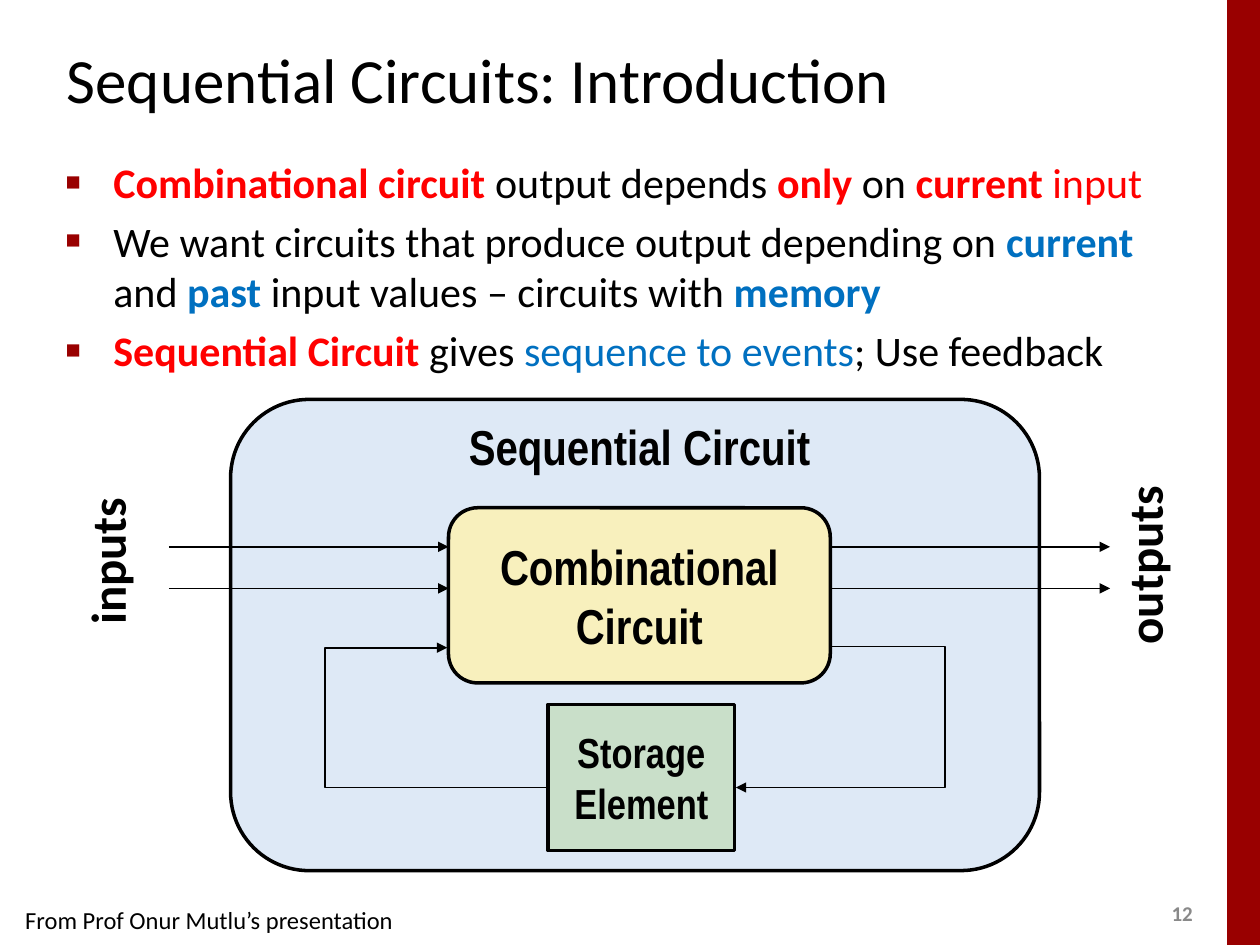
"""Build the slide that introduces sequential circuits."""
from lxml import etree
from pptx import Presentation
from pptx.dml.color import RGBColor
from pptx.enum import shapes as es, text as et
from pptx.oxml.ns import qn
from pptx.util import Inches, Pt

BLACK, RED, BLUE = "000000", "FF0000", "0070C0"
KIND = es.MSO_SHAPE
MID = et.MSO_ANCHOR.MIDDLE
LEFT, CENTER = et.PP_ALIGN.LEFT, et.PP_ALIGN.CENTER


def style(font, name, size, bold=False, color=BLACK):
    """Set the face, size, weight and colour of a font."""
    font.name, font.size, font.bold = name, Pt(size), bold
    font.color.rgb = RGBColor.from_string(color)


def paint(shape, fill=None, width=None, arrow=False):
    """Set fill, black line and arrowhead, and drop the shadow."""
    if fill:
        shape.fill.solid()
        shape.fill.fore_color.rgb = RGBColor.from_string(fill)
    if width:
        shape.line.color.rgb = RGBColor.from_string(BLACK)
        shape.line.width = Pt(width)
    else:
        shape.line.fill.background()
    if arrow:
        etree.SubElement(shape.line._get_or_add_ln(), qn("a:tailEnd"), type="triangle")
    etree.SubElement(shape._element.spPr, qn("a:effectLst"))


prs = Presentation()
prs.slide_width, prs.slide_height = Inches(10), Inches(7.5)
slide = prs.slides.add_slide(prs.slide_layouts[1])
items = slide.shapes

bar = items.add_shape(KIND.RECTANGLE, Inches(9.74), 0, Inches(0.26), Inches(7.5))
paint(bar, "990000")

title, body = items.title, slide.placeholders[1]
for hold, box in ((title, (0.43, 0.21, 8.3, 0.83)), (body, (0.42, 1.19, 8.93, 5.67))):
    hold.left, hold.top, hold.width, hold.height = map(Inches, box)
title.text_frame.text = "Sequential Circuits: Introduction"
title.text_frame.vertical_anchor = MID
head = title.text_frame.paragraphs[0]
head.alignment = LEFT
props = head._p.get_or_add_pPr()
props.set("marL", str(Inches(0.13)))
props.set("indent", str(-Inches(0.13)))
style(head.font, "Calibri", 36)

points = [
    [("Combinational circuit ", RED, True), ("output depends ", BLACK, False),
     ("only", RED, True), (" on ", BLACK, False), ("current", RED, True),
     (" input", RED, False)],
    [("We want circuits that produce output depending on ", BLACK, False),
     ("current ", BLUE, True), ("and ", BLACK, False), ("past ", BLUE, True),
     ("input values – circuits with ", BLACK, False), ("memory", BLUE, True)],
    [("Sequential Circuit ", RED, True), ("gives ", BLACK, False),
     ("sequence to events", BLUE, False), ("; Use feedback", BLACK, False)],
]
frame = body.text_frame
for i, point in enumerate(points):
    para = frame.add_paragraph() if i else frame.paragraphs[0]
    props = para._p.get_or_add_pPr()
    props.set("marL", str(Inches(0.38)))
    props.set("indent", str(-Inches(0.38)))
    tint = etree.SubElement(props, qn("a:buClr"))
    etree.SubElement(tint, qn("a:srgbClr"), val="990000")
    etree.SubElement(props, qn("a:buSzPct"), val="60000")
    etree.SubElement(props, qn("a:buFont"), typeface="Arial")
    etree.SubElement(props, qn("a:buChar"), char="■")
    for words, color, bold in point:
        run = para.add_run()
        run.text = words
        style(run.font, "Calibri", 24, bold, color)

blocks = [
    (KIND.ROUNDED_RECTANGLE, (1.83, 3.17, 6.42, 3.74), "DEE9F6", "", 28),
    (KIND.ROUNDED_RECTANGLE, (3.56, 4.03, 3.03, 1.39), "F8F0BD", "Combinational\nCircuit", 28),
    (KIND.RECTANGLE, (4.35, 5.59, 1.48, 1.16), "C9DFC9", "Storage\nElement", 24),
]
for kind, box, fill, words, size in blocks:
    block = items.add_shape(kind, *map(Inches, box))
    paint(block, fill, 2)
    if words:
        frame = block.text_frame
        frame.text, frame.word_wrap, frame.vertical_anchor = words, False, MID
        for para in frame.paragraphs:
            para.alignment = CENTER
            style(para.font, "Arial Narrow", size, True)

for x in (1.34, 6.59):
    for y in (4.34, 4.67):
        wire = items.add_connector(es.MSO_CONNECTOR.STRAIGHT, Inches(x), Inches(y),
                                   Inches(x + 2.22), Inches(y))
        paint(wire, width=1, arrow=True)

loops = [
    [(6.59, 5.13), (7.5, 5.13), (7.5, 6.25), (5.84, 6.25)],
    [(4.35, 6.25), (2.58, 6.25), (2.58, 5.14), (3.55, 5.14)],
]
for loop in loops:
    (x, y), *rest = [(Inches(a), Inches(b)) for a, b in loop]
    pen = items.build_freeform(x, y)
    pen.add_line_segments(rest, close=False)
    wire = pen.convert_to_shape()
    wire.fill.background()
    paint(wire, width=1, arrow=True)

labels = [
    ("Sequential Circuit", (2.64, 3.26, 4.87, 0.66), 0, "Arial Narrow", 28, True, BLACK, CENTER),
    ("inputs", (0.22, 4.17, 1.25, 0.57), 270, "Calibri", 28, True, BLACK, CENTER),
    ("outputs", (8.32, 4.2, 1.51, 0.57), 270, "Calibri", 28, True, BLACK, CENTER),
    ("12", (9.2, 7.1, 0.4, 0.3), 0, "Calibri", 12, True, "898989", LEFT),
    ("From Prof Onur Mutlu’s presentation", (0.2, 7.18, 2.95, 0.24), 0, "Calibri", 14, False,
     BLACK, LEFT),
]
for words, box, turn, face, size, bold, color, align in labels:
    label = items.add_textbox(*map(Inches, box))
    label.rotation = turn
    frame = label.text_frame
    frame.text, frame.word_wrap = words, True
    para = frame.paragraphs[0]
    para.alignment = align
    style(para.font, face, size, bold, color)
    if words == "12":
        frame.vertical_anchor = MID

frame.word_wrap = False
frame.margin_left = frame.margin_right = frame.margin_top = frame.margin_bottom = 0

prs.save("out.pptx")
